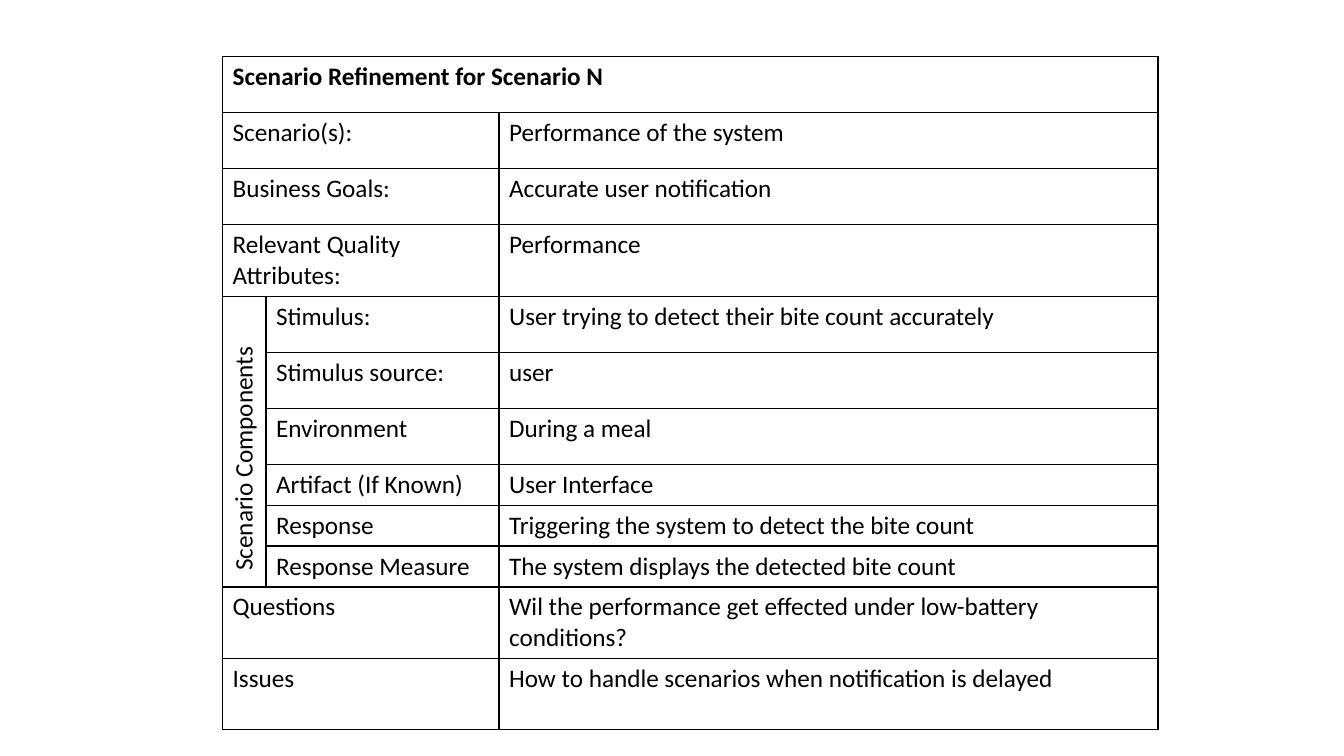
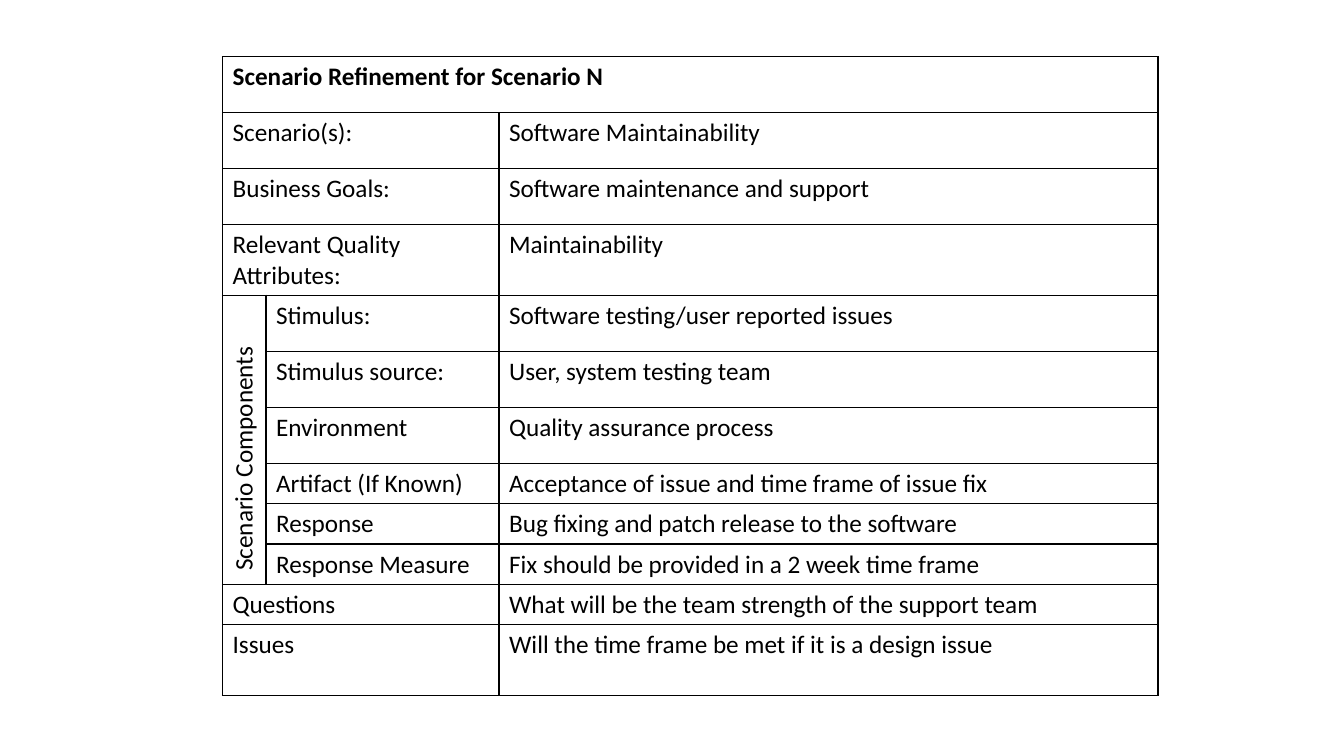
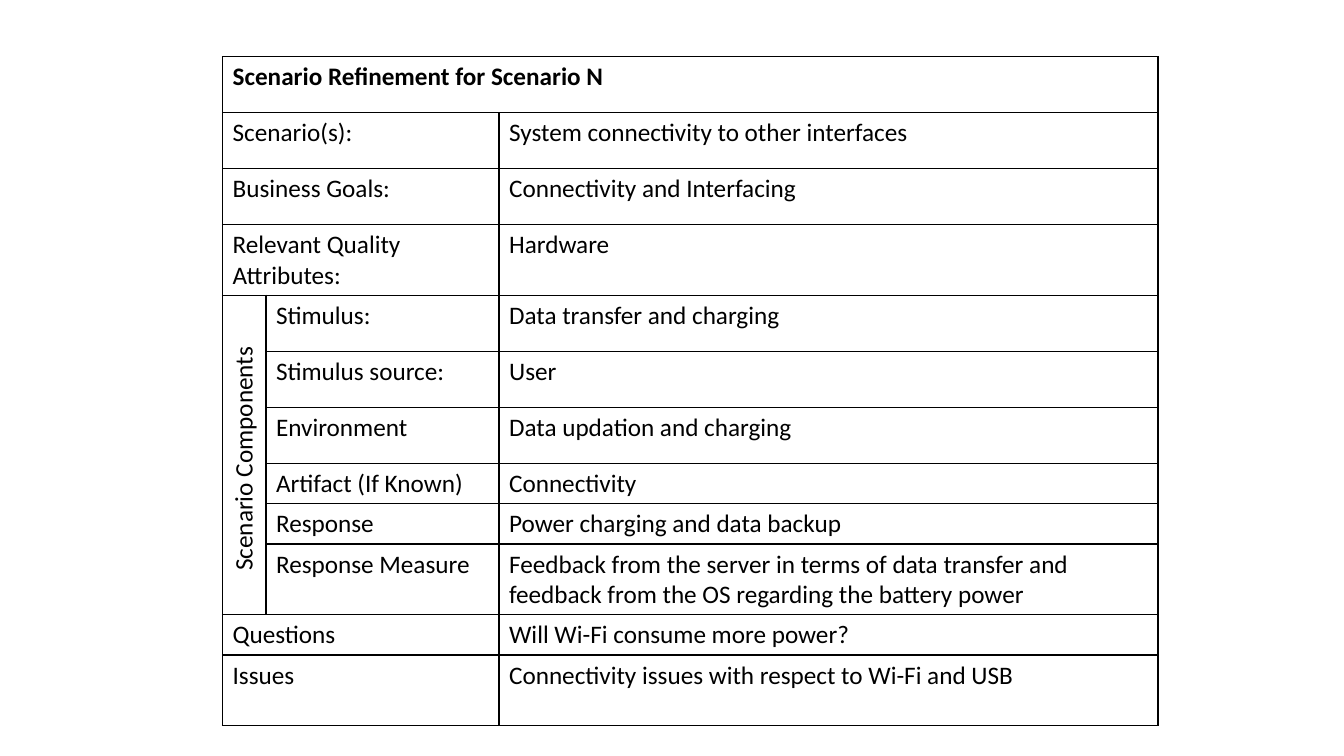
"""Build three scenario refinement slides, each with one merged table."""
from lxml.etree import SubElement
from pptx import Presentation
from pptx.dml.color import RGBColor
from pptx.enum.text import MSO_AUTO_SIZE as AUTO
from pptx.oxml.ns import qn
from pptx.util import Pt

BLACK = RGBColor(0, 0, 0)
FONT = {"name": "Calibri", "size": Pt(18), "bold": False}
COLS = [31, 166.5, 470.75]
ROWS = [40] * 7 + [10, 19, 10, 10, 50.4]
HEADING = "Scenario Refinement for Scenario N"
LABELS = ["Scenario(s):", "Business Goals:", "Relevant Quality Attributes:",
          "Stimulus:", "Stimulus source:", "Environment",
          "Artifact (If Known)", "Response", "Response Measure",
          "Questions", "Issues"]
COMPONENTS = range(4, 10)
SCENARIOS = [
    ["Performance of the system", "Accurate user notification", "Performance",
     "User trying to detect their bite count accurately", "user",
     "During a meal", "User Interface",
     "Triggering the system to detect the bite count",
     "The system displays the detected bite count",
     "Wil the performance get effected under low-battery conditions?",
     "How to handle scenarios when notification is delayed"],
    ["Software Maintainability", "Software maintenance and support",
     "Maintainability", "Software testing/user reported issues",
     "User, system testing team", "Quality assurance process",
     "Acceptance of issue and time frame of issue fix",
     "Bug fixing and patch release to the software",
     "Fix should be provided in a 2 week time frame",
     "What will be the team strength of the support team",
     "Will the time frame be met if it is a design issue"],
    ["System connectivity to other interfaces", "Connectivity and Interfacing",
     "Hardware", "Data transfer and charging", "User",
     "Data updation and charging", "Connectivity",
     "Power charging and data backup",
     "Feedback from the server in terms of data transfer and "
     "feedback from the OS regarding the battery power",
     "Will Wi-Fi consume more power?",
     "Connectivity issues with respect to Wi-Fi and USB"],
]


def write(tf, text, **changes):
    r = tf.paragraphs[0].add_run()
    r.text = text
    for key, value in (FONT | changes).items():
        setattr(r.font, key, value)
    r.font.color.rgb = BLACK


def outline(cell):
    tcPr = cell._tc.get_or_add_tcPr()
    for side in ("a:lnL", "a:lnR", "a:lnT", "a:lnB"):
        ln = SubElement(tcPr, qn(side), w=str(Pt(1)))
        fill = SubElement(ln, qn("a:solidFill"))
        SubElement(fill, qn("a:srgbClr"), val=str(BLACK))
    cell.fill.background()


prs = Presentation()
prs.slide_width, prs.slide_height = Pt(960), Pt(540)

for answers in SCENARIOS:
    s = prs.slides.add_slide(prs.slide_layouts[6])
    table = s.shapes.add_table(len(ROWS), len(COLS), Pt(159), Pt(40.5),
                               Pt(sum(COLS)), Pt(sum(ROWS))).table
    table.first_row = table.horz_banding = False
    for column, width in zip(table.columns, COLS):
        column.width = Pt(width)
    for row, height in zip(table.rows, ROWS):
        row.height = Pt(height)
    for cell in table.iter_cells():
        outline(cell)

    table.cell(0, 0).merge(table.cell(0, 2))
    table.cell(COMPONENTS[0], 0).merge(table.cell(COMPONENTS[-1], 0))
    write(table.cell(0, 0).text_frame, HEADING, bold=True)
    for i, (label, answer) in enumerate(zip(LABELS, answers), 1):
        label_col = 1 if i in COMPONENTS else 0
        if label_col == 0:
            table.cell(i, 0).merge(table.cell(i, 1))
        write(table.cell(i, label_col).text_frame, label)
        write(table.cell(i, 2).text_frame, answer)

    side_label = s.shapes.add_textbox(Pt(85.5), Pt(312.5), Pt(175.75), Pt(29))
    side_label.rotation = 270
    tf = side_label.text_frame
    tf.word_wrap = False
    tf.auto_size = AUTO.SHAPE_TO_FIT_TEXT
    write(tf, "Scenario Components")

prs.save("out.pptx")
